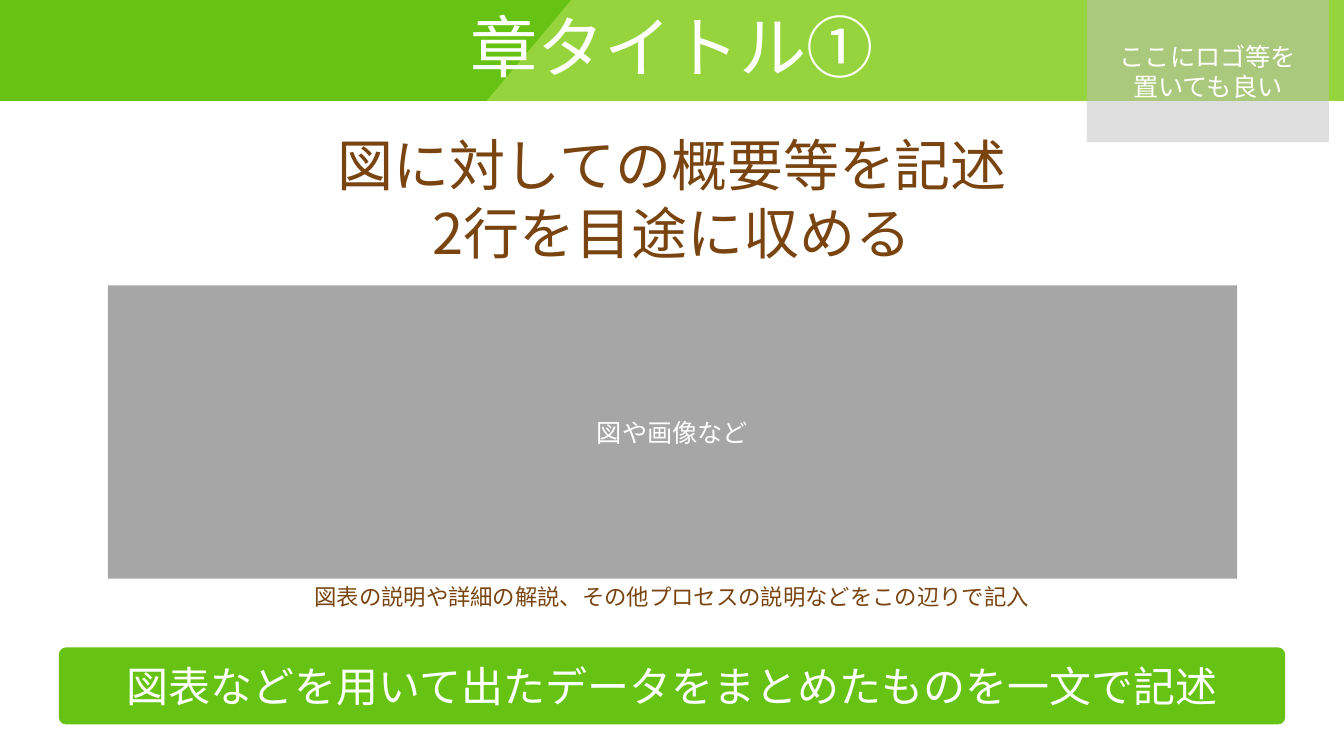
"""Build a chapter slide with a heading, a figure area and a summary bar."""
from copy import deepcopy
from dataclasses import dataclass
from typing import Optional

from lxml import etree
from pptx import Presentation
from pptx.dml.color import RGBColor
from pptx.enum.shapes import MSO_SHAPE
from pptx.enum.text import MSO_ANCHOR, MSO_AUTO_SIZE, PP_ALIGN
from pptx.oxml.ns import qn
from pptx.util import Inches, Pt

RECTANGLE = MSO_SHAPE.RECTANGLE
ROUNDED = MSO_SHAPE.ROUNDED_RECTANGLE
MIDDLE = MSO_ANCHOR.MIDDLE
TOP = MSO_ANCHOR.TOP
GROW = MSO_AUTO_SIZE.SHAPE_TO_FIT_TEXT
CENTER = PP_ALIGN.CENTER


@dataclass(frozen=True)
class Theme:
    green: str = "67C313"
    lime: str = "95D43C"
    brown: str = "794410"
    white: str = "FFFFFF"
    logo_gray: str = "BFBFBF"
    figure_gray: str = "A6A6A6"
    font: str = "Noto Sans CJK JP"
    figure_font: str = "Arial"
    title: int = 48
    overview: int = 40
    summary: int = 30
    label: int = 18
    caption: int = 16


THEME = Theme()


@dataclass(frozen=True)
class Box:
    left: float
    top: float
    width: float
    height: float


@dataclass(frozen=True)
class Label:
    box: Box
    text: str
    size: int
    color: str = THEME.white
    font: str = THEME.font


@dataclass(frozen=True)
class Panel:
    label: Label
    fill: str
    opacity: int = 100
    corner: Optional[float] = None


TITLE = Label(Box(2.12, 0, 9.09, 0.91), "章タイトル①", THEME.title)
OVERVIEW = Label(Box(0.59, 1.25, 12.15, 1.45),
                 "図に対しての概要等を記述\n2行を目途に収める", THEME.overview, THEME.brown)
LOGO_AREA = Panel(Label(Box(10.78, 0, 2.4, 1.41), "ここにロゴ等を\n置いても良い", THEME.label),
                  THEME.logo_gray, opacity=50)
FIGURE = Panel(Label(Box(1.07, 2.83, 11.2, 2.91), "図や画像など", THEME.label,
                     font=THEME.figure_font), THEME.figure_gray)
CAPTION = Label(Box(1.57, 5.74, 10.19, 0.37),
                "図表の説明や詳細の解説、その他プロセスの説明などをこの辺りで記入",
                THEME.caption, THEME.brown)
SUMMARY = Panel(Label(Box(0.59, 6.43, 12.15, 0.75),
                      "図表などを用いて出たデータをまとめたものを一文で記述", THEME.summary),
                THEME.green, corner=0.087)


def bounds(box: Box) -> tuple:
    return tuple(Inches(n) for n in (box.left, box.top, box.width, box.height))


def write_label(frame, label: Label, anchor) -> None:
    frame.text = label.text
    frame.word_wrap = True
    frame.vertical_anchor = anchor
    for paragraph in frame.paragraphs:
        paragraph.alignment = CENTER
        for run in paragraph.runs:
            run.font.size = Pt(label.size)
            run.font.name = label.font
            run.font.color.rgb = RGBColor.from_string(label.color)
            latin = run.font._element.find(qn("a:latin"))
            east_asian = etree.Element(qn("a:ea"), typeface=label.font)
            latin.addnext(east_asian)


def add_label(slide, label: Label) -> None:
    frame = slide.shapes.add_textbox(*bounds(label.box)).text_frame
    write_label(frame, label, TOP)
    frame.auto_size = GROW


def add_panel(slide, panel: Panel) -> None:
    outline = RECTANGLE if panel.corner is None else ROUNDED
    shape = slide.shapes.add_shape(outline, *bounds(panel.label.box))
    shape.shadow.inherit = False
    shape.fill.solid()
    shape.fill.fore_color.rgb = RGBColor.from_string(panel.fill)
    if panel.opacity < 100:
        color = shape._element.spPr.find(qn("a:solidFill"))[0]
        etree.SubElement(color, qn("a:alpha"), val=str(panel.opacity * 1000))
    if panel.corner is None:
        shape.line.fill.background()
    else:
        shape.adjustments[0] = panel.corner
        shape.line.color.rgb = RGBColor.from_string(panel.fill)
        shape.line.width = Pt(1)
    write_label(shape.text_frame, panel.label, MIDDLE)


def add_header_band(slide, box: Box) -> None:
    band = slide.shapes.add_shape(RECTANGLE, *bounds(box))
    band.shadow.inherit = False
    band.line.fill.background()
    band.fill.gradient()
    band.fill.gradient_angle = 320
    stop_list = band._element.spPr.find(qn("a:gradFill")).find(qn("a:gsLst"))
    for stop in list(stop_list):
        stop_list.append(deepcopy(stop))
    colors = (THEME.green, THEME.green, THEME.lime, THEME.lime)
    for stop, position, color in zip(band.fill.gradient_stops, (0, 0.4, 0.4, 1), colors):
        stop.position = position
        stop.color.rgb = RGBColor.from_string(color)


def main() -> None:
    presentation = Presentation()
    presentation.slide_width = Inches(13.33)
    presentation.slide_height = Inches(7.5)
    slide = presentation.slides.add_slide(presentation.slide_layouts[6])
    add_header_band(slide, Box(0, 0, 13.33, 1))
    for label in (TITLE, OVERVIEW):
        add_label(slide, label)
    for panel in (LOGO_AREA, FIGURE):
        add_panel(slide, panel)
    add_label(slide, CAPTION)
    add_panel(slide, SUMMARY)
    presentation.save("out.pptx")


if __name__ == "__main__":
    main()
